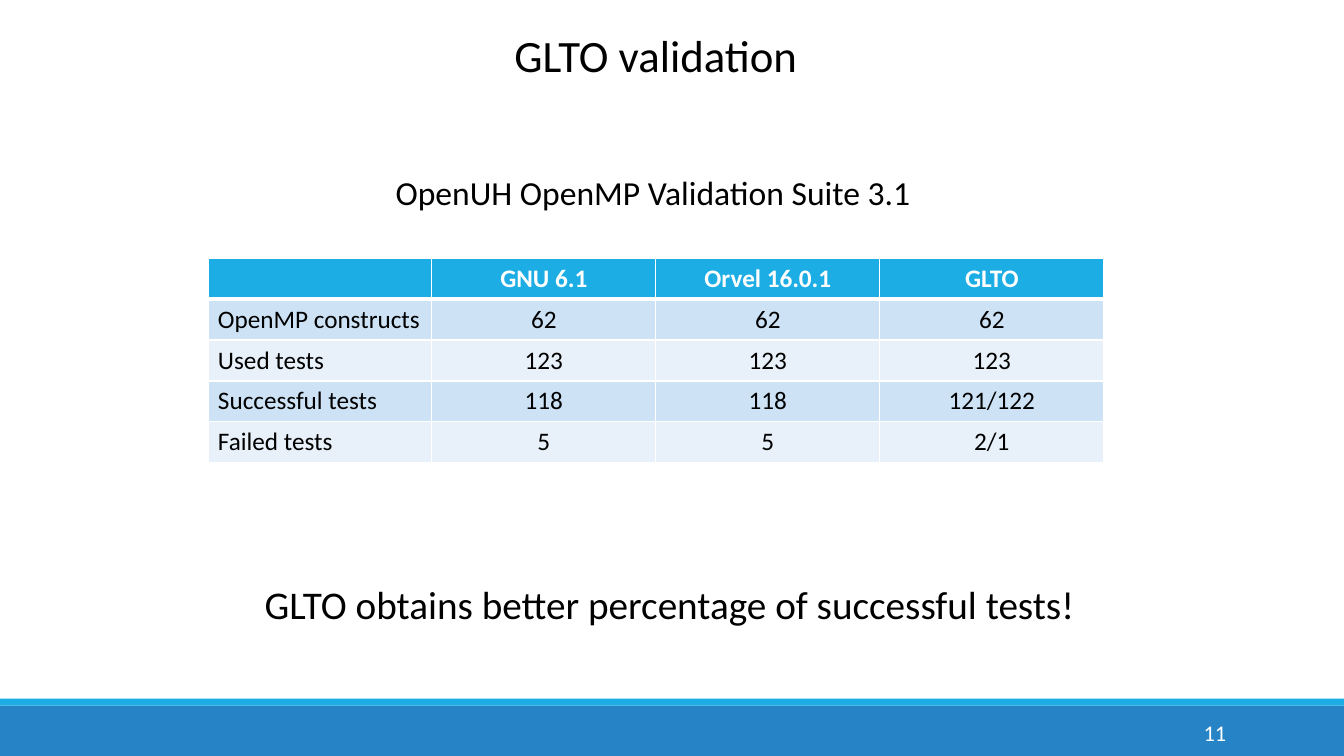
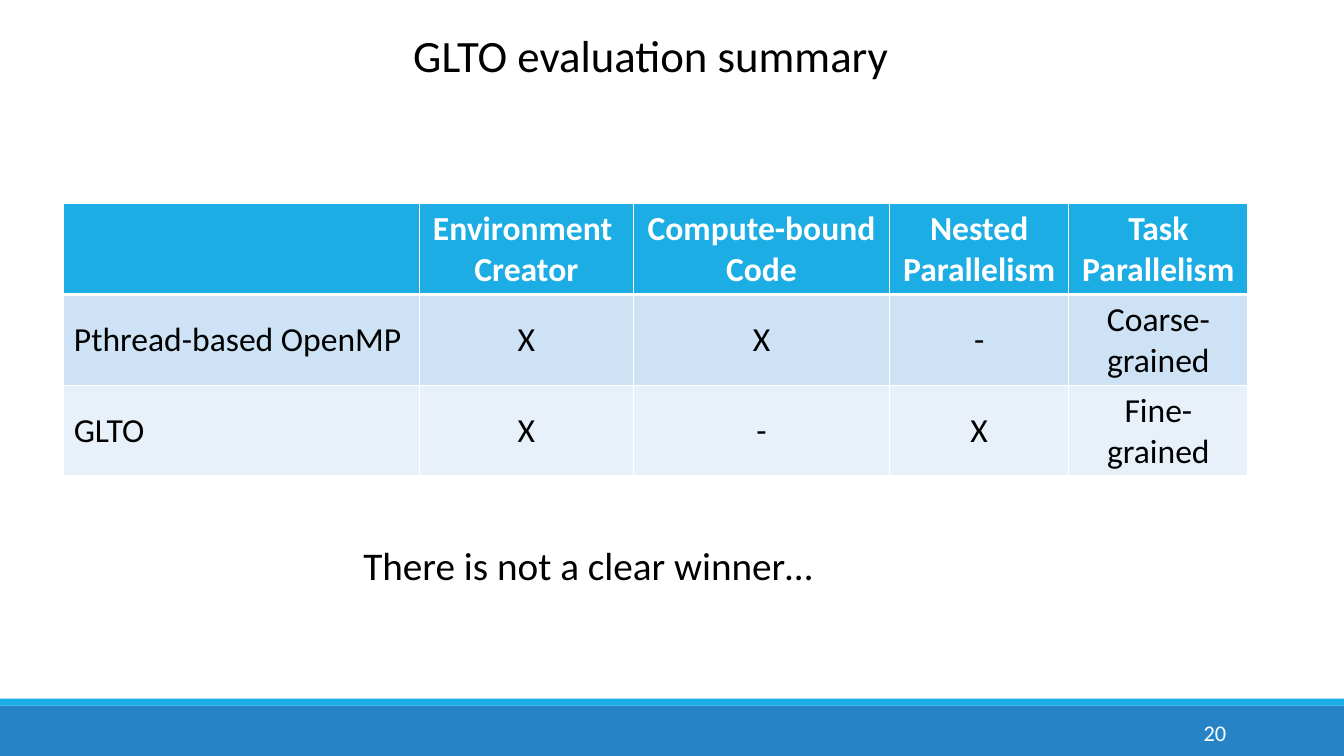
"""Build two result slides with a shared title, band and table style."""
from dataclasses import dataclass

from lxml import etree
from pptx import Presentation
from pptx import util as u
from pptx.dml import color, fill
from pptx.enum import shapes, text
from pptx.oxml import ns
from pptx.slide import Slide
from pptx.table import _Cell
from pptx.text import text as body

FONT = "Calibri"
BLACK, WHITE = "000000", "FFFFFF"
BLUE, CYAN = "2683C6", "1CADE4"
STRIPES = ("CDE3F5", "E8F1FA")
WIDTH, HEIGHT = 960, 540
LEFT, CENTER, RIGHT = text.PP_ALIGN.LEFT, text.PP_ALIGN.CENTER, text.PP_ALIGN.RIGHT
TOP, MIDDLE = text.MSO_ANCHOR.TOP, text.MSO_ANCHOR.MIDDLE


@dataclass(frozen=True)
class Label:
    words: str
    left: float
    top: float
    width: float
    height: float
    size: float
    color: str = BLACK
    align: text.PP_ALIGN = LEFT
    anchor: text.MSO_ANCHOR = TOP
    wrap: bool = False


@dataclass(frozen=True)
class Grid:
    left: float
    top: float
    columns: tuple[float, ...]
    row_height: float
    size: float
    anchor: text.MSO_ANCHOR
    rows: tuple[tuple[str, ...], ...]


@dataclass(frozen=True)
class Page:
    title: str
    number: int
    grid: Grid
    labels: tuple[Label, ...]


PAGES = (
    Page(
        "GLTO validation",
        11,
        Grid(148.5, 184.5, (160,) * 4, 29.2, 18, TOP, (
            ("", "GNU 6.1", "Orvel 16.0.1", "GLTO"),
            ("OpenMP constructs", "62", "62", "62"),
            ("Used tests", "123", "123", "123"),
            ("Successful tests", "118", "118", "121/122"),
            ("Failed tests", "5", "5", "2/1"),
        )),
        (
            Label("OpenUH OpenMP Validation Suite 3.1", 275.5, 119.5, 386, 36, 24),
            Label("GLTO obtains better percentage of successful tests!",
                  182, 411, 606, 41, 28),
        ),
    ),
    Page(
        "GLTO evaluation summary ",
        20,
        Grid(45.5, 145.5, (254, 153, 183, 128, 128), 64.8, 24, MIDDLE, (
            ("", "Environment \nCreator", "Compute-bound\nCode",
             "Nested Parallelism", "Task Parallelism"),
            ("Pthread-based OpenMP", "X", "X", "-", "Coarse-grained"),
            ("GLTO", "X", "-", "X", "Fine-grained"),
        )),
        (Label("There is not a clear winner…", 252.5, 383, 338, 41, 28),),
    ),
)


def paint(target: fill.FillFormat, value: str) -> None:
    """Fill a shape or cell with a plain colour."""
    target.solid()
    target.fore_color.rgb = color.RGBColor.from_string(value)


def style(para: body._Paragraph, size: float, value: str,
          align: text.PP_ALIGN, bold: bool = False) -> None:
    """Set the font and alignment of a paragraph."""
    para.alignment = align
    para.font.name = FONT
    para.font.size = u.Pt(size)
    para.font.bold = bold
    para.font.color.rgb = color.RGBColor.from_string(value)


def add_band(page: Slide, top: float, height: float, value: str) -> None:
    """Draw a full-width band."""
    band = page.shapes.add_shape(
        shapes.MSO_SHAPE.RECTANGLE, 0, u.Pt(top), u.Pt(WIDTH), u.Pt(height))
    band.shadow.inherit = False
    paint(band.fill, value)
    band.line.fill.background()


def add_label(page: Slide, label: Label) -> None:
    """Add a text box."""
    box = page.shapes.add_textbox(
        u.Pt(label.left), u.Pt(label.top), u.Pt(label.width), u.Pt(label.height))
    frame = box.text_frame
    frame.word_wrap = label.wrap
    frame.vertical_anchor = label.anchor
    frame.text = label.words
    style(frame.paragraphs[0], label.size, label.color, label.align)


def set_borders(cell: _Cell, top: float, bottom: float) -> None:
    """Give a cell white borders, placed ahead of its fill."""
    properties = cell._tc.get_or_add_tcPr()
    widths = {"a:lnL": 1, "a:lnR": 1, "a:lnT": top, "a:lnB": bottom}
    for index, (tag, width) in enumerate(widths.items()):
        line = etree.Element(ns.qn(tag), w=str(u.Pt(width)))
        solid = etree.SubElement(line, ns.qn("a:solidFill"))
        etree.SubElement(solid, ns.qn("a:srgbClr"), val=WHITE)
        properties.insert(index, line)


def add_grid(page: Slide, grid: Grid) -> None:
    """Add a table with a bold header and striped rows."""
    table = page.shapes.add_table(
        len(grid.rows), len(grid.columns), u.Pt(grid.left), u.Pt(grid.top),
        u.Pt(sum(grid.columns)), u.Pt(grid.row_height * len(grid.rows))).table
    table.horz_banding = False
    for column, width in zip(table.columns, grid.columns):
        column.width = u.Pt(width)
    for r, words in enumerate(grid.rows):
        table.rows[r].height = u.Pt(grid.row_height)
        header = r == 0
        for c, entry in enumerate(words):
            cell = table.cell(r, c)
            cell.text = entry
            cell.vertical_anchor = grid.anchor
            paint(cell.fill, CYAN if header else STRIPES[(r - 1) % 2])
            set_borders(cell, 3 if r == 1 else 1, 3 if header else 1)
            for para in cell.text_frame.paragraphs:
                style(para, grid.size, WHITE if header else BLACK,
                      CENTER if header or c else LEFT, header)


def add_frame(page: Slide, title: str, number: int) -> None:
    """Draw the bands, title and page number that every slide shares."""
    add_band(page, 504, HEIGHT - 504, BLUE)
    add_band(page, 499, 5, CYAN)
    add_label(page, Label(title, 138, 16.5, 661, 46, 32, align=CENTER, wrap=True))
    add_label(page, Label(str(number), 780, 508.5, 103, 29, 16, WHITE,
                          RIGHT, MIDDLE, True))


def main() -> None:
    """Build and save the deck."""
    deck = Presentation()
    deck.slide_width, deck.slide_height = u.Pt(WIDTH), u.Pt(HEIGHT)
    for content in PAGES:
        page = deck.slides.add_slide(deck.slide_layouts[6])
        add_frame(page, content.title, content.number)
        add_grid(page, content.grid)
        for label in content.labels:
            add_label(page, label)
    deck.save("out.pptx")


if __name__ == "__main__":
    main()
